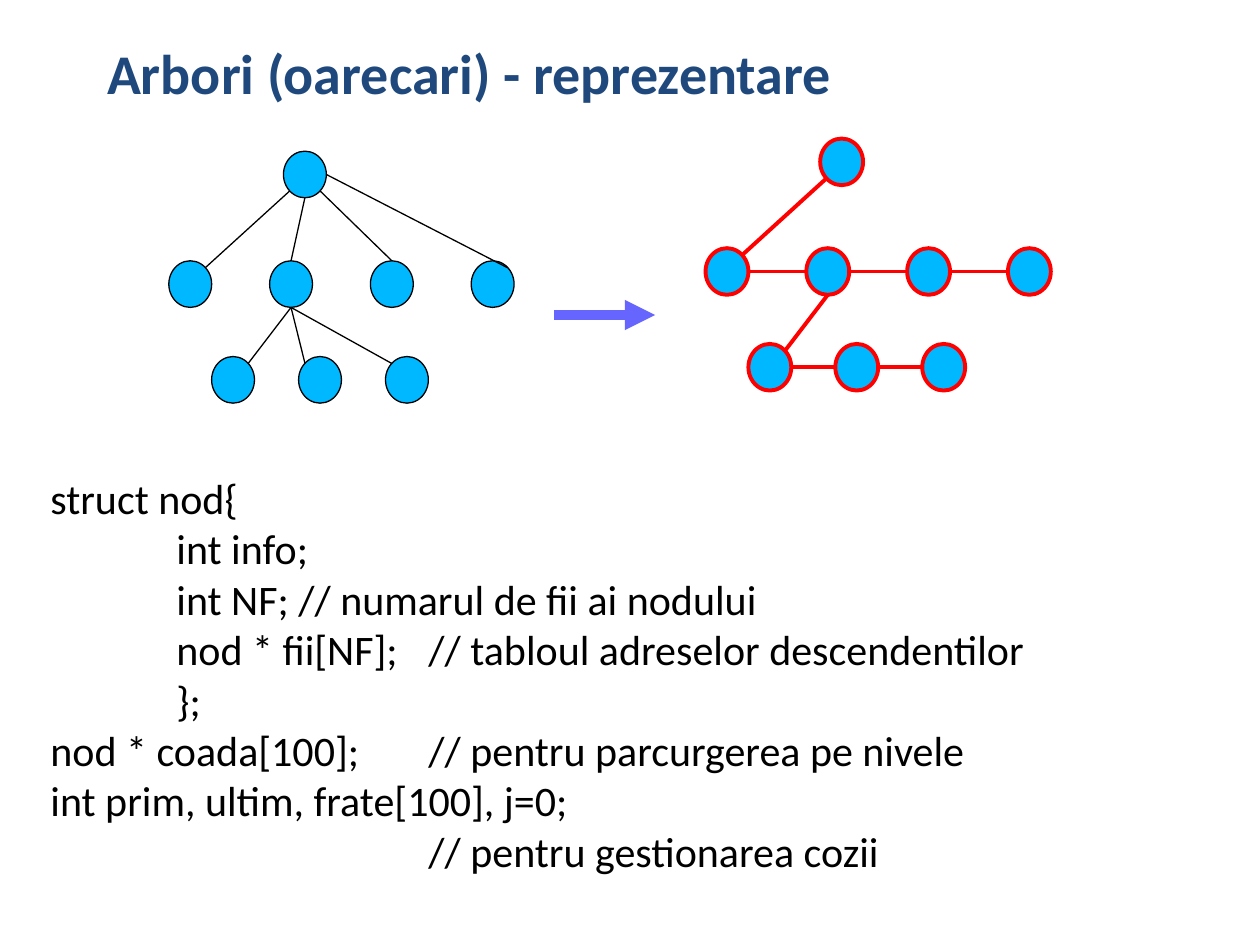
from lxml import etree
from pptx import Presentation
from pptx.dml.color import RGBColor
from pptx.enum.shapes import MSO_CONNECTOR, MSO_SHAPE
from pptx.enum.text import MSO_ANCHOR, MSO_AUTO_SIZE, PP_ALIGN
from pptx.oxml.ns import qn
from pptx.util import Inches, Pt

ELLIPSE, STRAIGHT = MSO_SHAPE.OVAL, MSO_CONNECTOR.STRAIGHT
LEFT, TOP, MIDDLE = PP_ALIGN.LEFT, MSO_ANCHOR.TOP, MSO_ANCHOR.MIDDLE
NO_FIT = MSO_AUTO_SIZE.NONE

# Content
TITLE = "Arbori (oarecari) - reprezentare"
CODE = [
    "struct nod{",
    "\tint info;",
    "\tint NF; // numarul de fii ai nodului",
    "\tnod * fii[NF];\t// tabloul adreselor descendentilor",
    "\t};",
    "nod * coada[100];\t// pentru parcurgerea pe nivele",
    "int prim, ultim, frate[100], j=0;",
    "\t\t\t// pentru gestionarea cozii",
]

# Tree levels: first left edge, top, step, number of nodes
LEVELS = [(2.25, 1.2, 0, 1), (1.34, 2.07, 0.8, 4), (1.68, 2.83, 0.69, 3)]

# Edges join (level, index, side) to (level, index, side)
CHILD_EDGES = [
    ((0, 0, "SW"), (1, 0, "NE")),
    ((0, 0, "S"), (1, 1, "N")),
    ((0, 0, "SE"), (1, 2, "N")),
    ((0, 0, "E"), (1, 3, "NE")),
    ((1, 1, "S"), (2, 0, "NE")),
    ((1, 1, "S"), (2, 1, "NW")),
    ((1, 1, "S"), (2, 2, "NW")),
]
FIRST_CHILD_EDGES = [CHILD_EDGES[0], CHILD_EDGES[4]]
SIBLING_EDGES = [
    ((level, index, "E"), (level, index + 1, "W"))
    for level, (_, _, _, count) in enumerate(LEVELS)
    for index in range(count - 1)
]

THEME = {
    "font": "Calibri",
    "title": {"size": Pt(32), "bold": True, "color": "1F497D"},
    "code": {"size": Pt(24), "bold": False, "color": "000000"},
    "tab": Inches(1),
    "node": "00B8FF",
    "tree": ("000000", 0.74),
    "linked": ("FF0000", 2.24),
    "arrow": ("6666FF", 5.75),
}
NODE_WIDTH, NODE_HEIGHT = 0.34, 0.37
SIDES = {  # shares of the node's box
    "N": (0.5, 0), "S": (0.5, 1), "E": (1, 0.5), "W": (0, 0.5),
    "NE": (0.85, 0.15), "NW": (0.15, 0.15),
    "SE": (0.85, 0.85), "SW": (0.15, 0.85),
}

deck = Presentation()
deck.slide_width, deck.slide_height = Inches(10), Inches(7.5)
page = deck.slides.add_slide(deck.slide_layouts[1])


def fill_placeholder(box, place, lines, style, anchor):
    box.left, box.top, box.width, box.height = map(Inches, place)
    frame = box.text_frame
    frame.text = "\n".join(lines)
    formats = {"word_wrap": True, "auto_size": NO_FIT, "vertical_anchor": anchor}
    for name, value in formats.items():
        setattr(frame, name, value)
    for para in frame.paragraphs:
        para.alignment = LEFT
        para.space_before = Pt(0)
        properties = para._p.get_or_add_pPr()
        for name, value in {"marL": 0, "indent": 0, "defTabSz": THEME["tab"]}.items():
            properties.set(name, str(int(value)))
        etree.SubElement(properties, qn("a:buNone"))
        for span in para.runs:
            span.font.name = THEME["font"]
            span.font.size, span.font.bold = style["size"], style["bold"]
            span.font.color.rgb = RGBColor.from_string(style["color"])


def set_line(line, style):
    color, width = style
    line.color.rgb = RGBColor.from_string(color)
    line.width = Pt(width)


def add_line(start, end, style):
    connector = page.shapes.add_connector(STRAIGHT, *map(Inches, (*start, *end)))
    set_line(connector.line, style)
    etree.SubElement(connector._element.spPr, qn("a:effectLst"))
    return connector


def add_tree(shift_x, shift_y, edges, style):
    corners = {}
    for level, (left, top, step, count) in enumerate(LEVELS):
        for index in range(count):
            corner = (left + index * step + shift_x, top + shift_y)
            corners[level, index] = corner
            node = page.shapes.add_shape(
                ELLIPSE, *map(Inches, (*corner, NODE_WIDTH, NODE_HEIGHT)))
            node.shadow.inherit = False
            node.fill.solid()
            node.fill.fore_color.rgb = RGBColor.from_string(THEME["node"])
            set_line(node.line, style)

    def side_point(level, index, side):
        left, top = corners[level, index]
        share_x, share_y = SIDES[side]
        return left + share_x * NODE_WIDTH, top + share_y * NODE_HEIGHT

    for start, end in edges:
        add_line(side_point(*start), side_point(*end), style)


# Title and code
title, body = page.placeholders
fill_placeholder(title, (0.75, 0.33, 8.49, 0.49), [TITLE], THEME["title"], MIDDLE)
fill_placeholder(body, (0.3, 3.7, 9.3, 3.5), CODE, THEME["code"], TOP)

# General tree and its first-child, next-sibling form
add_tree(0, 0, CHILD_EDGES, THEME["tree"])
add_tree(4.26, -0.1, FIRST_CHILD_EDGES + SIBLING_EDGES, THEME["linked"])

# Arrow between the trees
arrow = add_line((4.4, 2.5), (5.2, 2.5), THEME["arrow"])
etree.SubElement(arrow.line._get_or_add_ln(), qn("a:tailEnd"), type="triangle")

deck.save("out.pptx")
